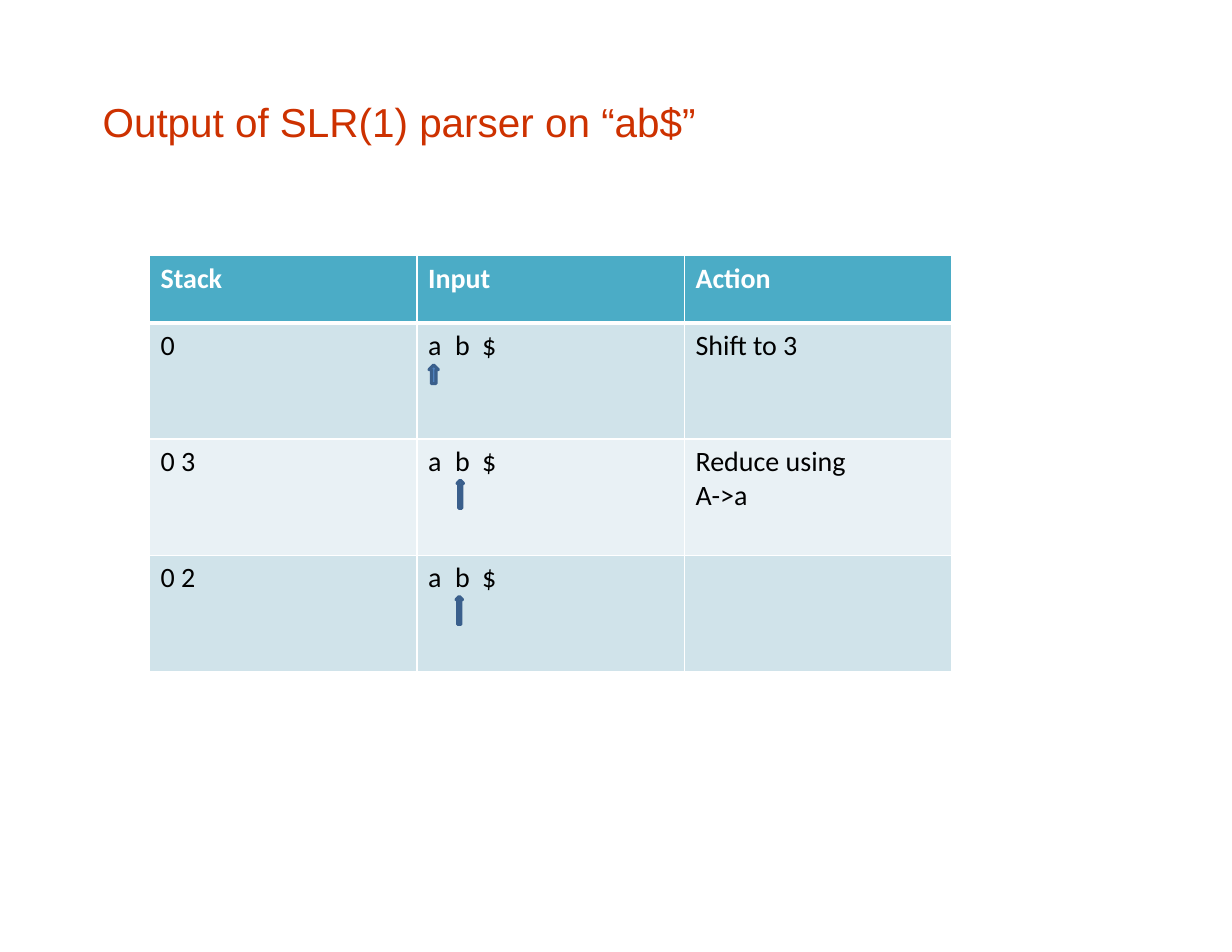
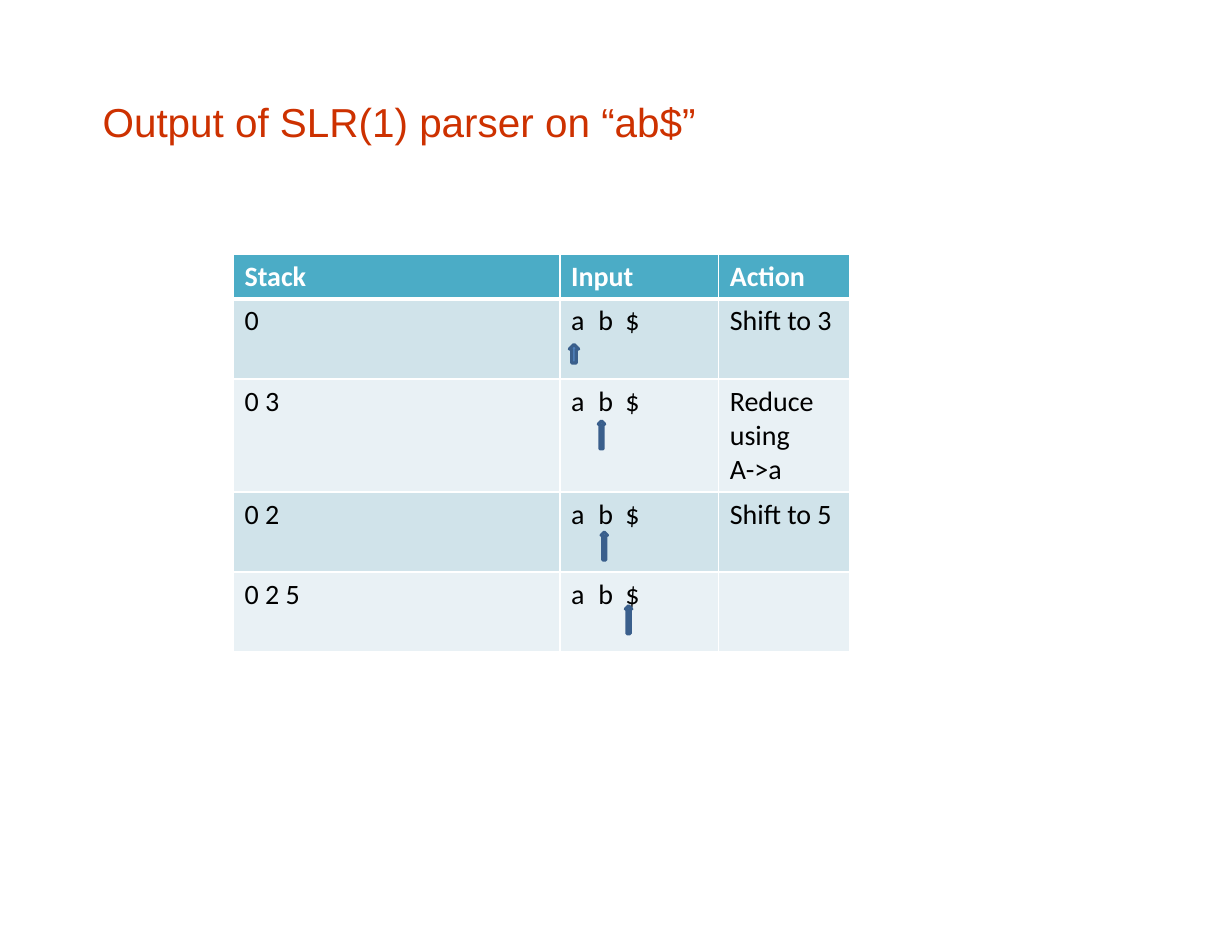
from lxml import etree
from pptx import Presentation
from pptx.dml.color import RGBColor
from pptx.enum.shapes import MSO_SHAPE
from pptx.enum.text import MSO_ANCHOR
from pptx.oxml.ns import qn
from pptx.util import Inches, Pt

UP = MSO_SHAPE.UP_ARROW
BOTTOM = MSO_ANCHOR.BOTTOM

# Shared look
RED, TEAL, WHITE, BLACK = "CD3100", "4BACC6", "FFFFFF", "000000"
BANDS = ["D0E3EA", "E9F1F5"]
BLUE, NAVY = "4F81BD", "3A5F8C"
TITLE = "Output of SLR(1) parser on “ab$”"
HEADS = ["Stack", "Input", "Action"]
INPUT = "a\tb\t$"
TAB = 2.9                       # distance between input symbols
SHORT, TALL = (1, 2), (0.7, 3)  # arrow width and height

# The slide is a grid of 132 columns by 102 rows, 12 to the inch
COLS, ROWS = 132, 102


def grid(n):
    return Inches(n / 12)


def color(code):
    return RGBColor.from_string(code)


def paint(part, code):
    part.fill.solid()
    part.fill.fore_color.rgb = color(code)


def write(frame, text, size=18, font="Calibri", ink=BLACK, bold=False):
    frame.word_wrap = True
    para = frame.paragraphs[0]
    if "\t" in text:
        tabs = etree.SubElement(para._p.get_or_add_pPr(), qn("a:tabLst"))
        for stop in range(1, text.count("\t") + 1):
            etree.SubElement(tabs, qn("a:tab"), pos=str(grid(stop * TAB)), algn="l")
    para.text = text
    for run in para.runs:
        run.font.size, run.font.name, run.font.bold = Pt(size), font, bold
        run.font.color.rgb = color(ink)


def border(cell, base):
    props = cell._tc.get_or_add_tcPr()
    for spot, side in enumerate("LRTB"):
        width = base if side == "B" else 1
        line = etree.Element(qn("a:ln" + side), w=str(Pt(width)))
        fill = etree.SubElement(line, qn("a:solidFill"))
        etree.SubElement(fill, qn("a:srgbClr"), val=WHITE)
        props.insert(spot, line)


def title(slide, left, top, width, height):
    box = slide.shapes.add_textbox(*map(grid, (left, top, width, height)))
    frame = box.text_frame
    frame.margin_left = frame.margin_right = 0
    frame.margin_top = frame.margin_bottom = 0
    frame.vertical_anchor = BOTTOM
    write(frame, TITLE, size=26, font="Arial", ink=RED)


def arrow(slide, left, top, size):
    shape = slide.shapes.add_shape(UP, grid(left), grid(top), *map(grid, size))
    shape.shadow.inherit = False
    paint(shape, BLUE)
    shape.line.color.rgb = color(NAVY)
    shape.line.width = Pt(2)


def trace(slide, left, top, widths, heights, steps):
    # Table of parser steps
    lines = [HEADS] + [[stack, INPUT, act] for stack, act, _ in steps]
    table = slide.shapes.add_table(
        len(lines), len(HEADS), grid(left), grid(top),
        grid(sum(widths)), grid(sum(heights))).table
    for col, width in zip(table.columns, widths):
        col.width = grid(width)
    for r, (line, height) in enumerate(zip(lines, heights)):
        table.rows[r].height = grid(height)
        for c, text in enumerate(line):
            cell = table.cell(r, c)
            paint(cell, BANDS[(r - 1) % 2] if r else TEAL)
            border(cell, 1 if r else 3)
            write(cell.text_frame, text, ink=BLACK if r else WHITE, bold=not r)

    # Arrows under the current input symbol, placed from each input cell
    for r, (_, _, (dx, dy)) in enumerate(steps, 1):
        arrow(slide, left + widths[0] + dx, top + sum(heights[:r]) + dy,
              SHORT if r == 1 else TALL)


def page(deck, *parts):
    slide = deck.slides.add_slide(deck.slide_layouts[6])
    title(slide, 11, 10.3, 67.7, 5.3)
    trace(slide, *parts)


def main():
    deck = Presentation()
    deck.slide_width, deck.slide_height = grid(COLS), grid(ROWS)
    page(deck, 16, 27.4, [86 / 3] * 3, [7.2] + [12.45] * 3, [
        ("0", "Shift to 3", (1.3, 4.5)),
        ("0 3", "Reduce using\nA->a", (4.3, 4.4)),
        ("0 2", "", (4.2, 4.4))])
    page(deck, 25, 27.2, [35, 17, 14], [4.8, 8.6, 12.1, 8.6, 8.5], [
        ("0", "Shift to 3", (1, 4.9)),
        ("0 3", "Reduce using\nA->a", (4.1, 4.5)),
        ("0 2", "Shift to 5", (4.4, 4.3)),
        ("0 2 5", "", (7, 3.6))])
    deck.save("out.pptx")


if __name__ == "__main__":
    main()
